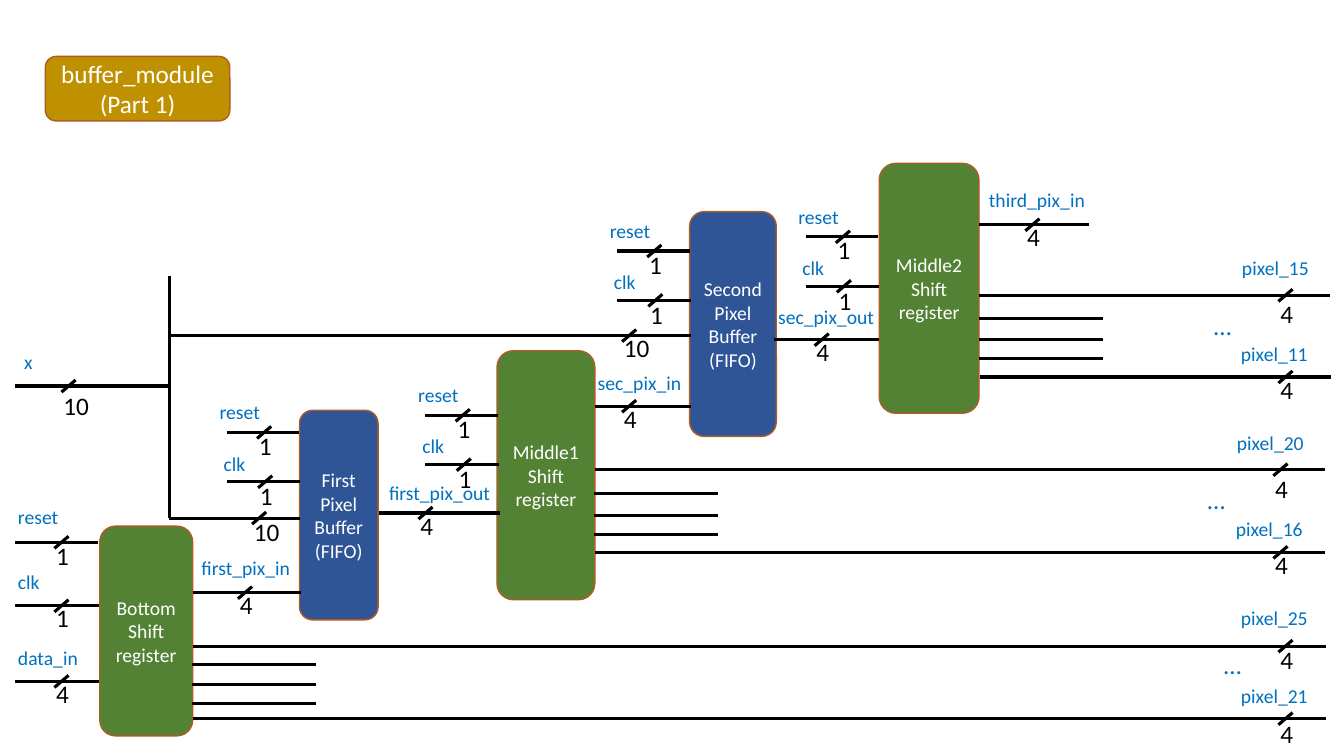
from lxml import etree
from pptx import Presentation
from pptx.dml.color import RGBColor
from pptx.enum.shapes import MSO_CONNECTOR, MSO_SHAPE
from pptx.enum.text import MSO_ANCHOR, MSO_AUTO_SIZE, PP_ALIGN
from pptx.oxml.ns import qn
from pptx.util import Inches, Pt

STRAIGHT = MSO_CONNECTOR.STRAIGHT
ROUNDED = MSO_SHAPE.ROUNDED_RECTANGLE
MIDDLE = MSO_ANCHOR.MIDDLE
GROW = MSO_AUTO_SIZE.SHAPE_TO_FIT_TEXT
CENTER = PP_ALIGN.CENTER
LEFT = PP_ALIGN.LEFT

BLACK = RGBColor(0x00, 0x00, 0x00)
WHITE = RGBColor(0xFF, 0xFF, 0xFF)
GREEN = RGBColor(0x54, 0x82, 0x35)
BLUE = RGBColor(0x2F, 0x55, 0x97)
GOLD = RGBColor(0xBF, 0x90, 0x00)
RUST = RGBColor(0xAF, 0x5C, 0x24)
SIGNAL_BLUE = RGBColor(0x00, 0x70, 0xC0)

deck = Presentation()
deck.slide_width = Inches(13.33)
deck.slide_height = Inches(7.5)
page = deck.slides.add_slide(deck.slide_layouts[6])


def add_text(text, left, top, width, height=0.34, size=14, color=SIGNAL_BLUE, fill=None, wrap=True):
    place = [Inches(value) for value in (left, top, width, height)]
    if fill is None:
        box = page.shapes.add_textbox(*place)
        box.text_frame.auto_size = GROW
    else:
        box = page.shapes.add_shape(ROUNDED, *place)
        box.shadow.inherit = False
        box.fill.solid()
        box.fill.fore_color.rgb = fill
        box.line.color.rgb = RUST
        box.line.width = Pt(1)
        box.text_frame.vertical_anchor = MIDDLE
    box.text_frame.word_wrap = wrap
    box.text_frame.text = text
    for para in box.text_frame.paragraphs:
        para.alignment = CENTER if fill else LEFT
        para.font.name = "Calibri"
        para.font.size = Pt(size)
        para.font.color.rgb = color


def add_wire(start_x, start_y, end_x, end_y):
    wire = page.shapes.add_connector(
        STRAIGHT, Inches(start_x), Inches(start_y), Inches(end_x), Inches(end_y)
    )
    wire.line.color.rgb = BLACK
    wire.line.width = Pt(2.25)
    etree.SubElement(wire._element.spPr, qn("a:effectLst"))


blocks = [
    ("Middle2\nShift\nregister", 8.72, 1.62, 0.99, 2.48, GREEN),
    ("First\nPixel\nBuffer\n(FIFO)", 2.97, 4.07, 0.78, 2.08, BLUE),
    ("Bottom\nShift\nregister", 0.99, 5.22, 0.92, 2.08, GREEN),
    ("Middle1\nShift\nregister", 4.93, 3.48, 0.97, 2.47, GREEN),
    ("Second\nPixel\nBuffer\n(FIFO)", 6.84, 2.1, 0.86, 2.23, BLUE),
]
add_text("buffer_module\n(Part 1)", 0.45, 0.56, 1.83, 0.64, size=18, color=WHITE, fill=GOLD)
for name, left, top, width, height, fill in blocks:
    add_text(name, left, top, width, height, color=WHITE, fill=fill)

# label, label left, label top, label width, wire start, wire end, wire y, slash x, bits, bits top
signals = [
    ("reset", 0.08, 4.96, 0.61, 0.15, 0.97, 5.38, 0.54, "1", 5.31),
    ("clk", 0.08, 5.61, 0.47, 0.15, 0.98, 6.01, 0.54, "1", 5.93),
    ("data_in", 0.08, 6.36, 0.85, 0.15, 0.98, 6.76, 0.54, "4", 6.68),
    ("x", 0.14, 3.42, 0.36, 0.15, 1.69, 3.83, 0.61, "10", 3.82),
    (None, 0, 0, 0, 1.68, 2.98, 5.14, 2.5, "10", 5.07),
    (None, 0, 0, 0, 1.68, 6.85, 3.33, 6.17, "10", 3.25),
    ("first_pix_in", 1.9, 5.47, 1.1, 1.91, 2.99, 5.88, 2.36, "4", 5.8),
    ("first_pix_out", 3.76, 4.72, 1.28, 3.76, 4.96, 5.09, 4.15, "4", 5.01),
    ("sec_pix_in", 5.83, 3.63, 1.05, 5.9, 6.85, 4.03, 6.17, "4", 3.95),
    ("sec_pix_out", 7.62, 2.98, 1.26, 7.68, 8.72, 3.37, 8.08, "4", 3.29),
    ("third_pix_in", 9.71, 1.82, 1.24, 9.71, 10.8, 2.23, 10.17, "4", 2.15),
    ("pixel_25", 12.21, 5.96, 0.97, 1.91, 13.15, 6.41, 12.68, "4", 6.34),
    ("pixel_21", 12.21, 6.74, 0.97, 1.91, 13.15, 7.13, 12.68, "4", 7.08),
    ("pixel_20", 12.17, 4.23, 0.97, 5.9, 13.14, 4.66, 12.63, "4", 4.65),
    ("pixel_16", 12.16, 5.08, 0.97, 5.9, 13.14, 5.48, 12.63, "4", 5.4),
    ("pixel_15", 12.22, 2.49, 0.97, 9.71, 13.19, 2.93, 12.68, "4", 2.91),
    ("pixel_11", 12.21, 3.34, 0.97, 9.72, 13.2, 3.74, 12.68, "4", 3.66),
]
for x, y in [(2.25, 4.29), (4.22, 4.12), (6.12, 2.49), (7.99, 2.35)]:
    signals.append(("reset", x - 0.17, y - 0.37, 0.64, x, x + 0.72, y, x + 0.3, "1", y - 0.07))
    signals.append(("clk", x - 0.13, y + 0.14, 0.47, x, x + 0.73, y + 0.49, x + 0.31, "1", y + 0.43))

for label, left, top, width, start, end, y, slash, bits, bits_top in signals:
    if label:
        add_text(label, left, top, width)
    add_wire(start, y, end, y)
    add_wire(slash, y + 0.06, slash + 0.14, y - 0.06)
    bits_width = 0.33 if len(bits) == 1 else 0.46
    add_text(bits, slash - 0.08, bits_top, bits_width, 0.4, size=18, color=BLACK, wrap=False)

add_wire(1.68, 2.74, 1.68, 5.14)

for left, heights in [(9.71, (3.16, 3.37, 3.56)), (5.89, (4.9, 5.11, 5.3)), (1.9, (6.59, 6.79, 6.98))]:
    for y in heights:
        add_wire(left, y, left + 1.23, y)

for left, top in [(11.94, 3.03), (11.88, 4.76), (12.04, 6.39)]:
    add_text("…", left, top, 0.51, 0.4, size=18)

deck.save("out.pptx")
